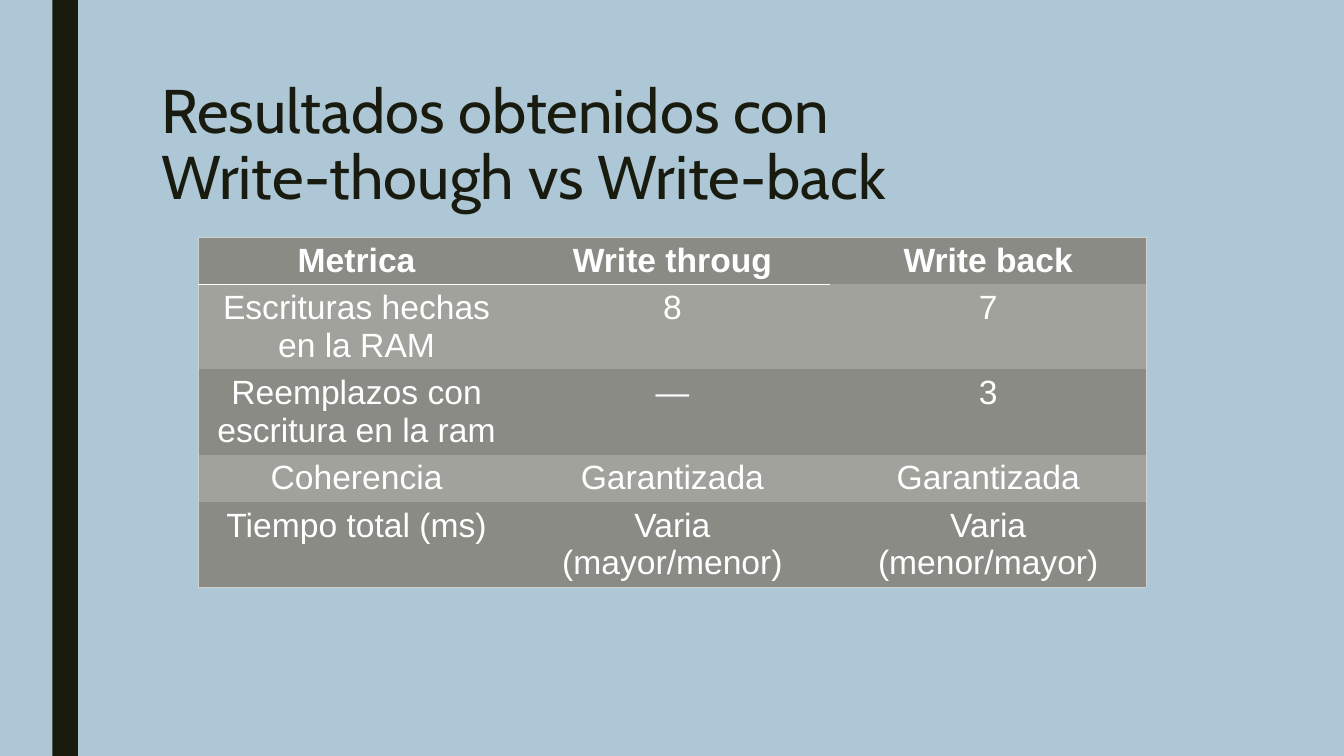
from dataclasses import dataclass

from lxml.etree import SubElement
from pptx import Presentation
from pptx.dml.color import RGBColor
from pptx.enum.shapes import MSO_SHAPE
from pptx.enum.text import MSO_ANCHOR, MSO_AUTO_SIZE, PP_ALIGN
from pptx.oxml.ns import qn
from pptx.slide import Slide
from pptx.table import _Cell
from pptx.text.text import _Paragraph
from pptx.util import Inches, Pt

SLIDE_WIDTH, SLIDE_HEIGHT = Inches(13.33), Inches(7.5)
PLAIN_TABLE_STYLE = "{2D5ABB26-0587-4C30-8999-92F81FD0307C}"


@dataclass(frozen=True)
class Theme:
    background: str = "ADC7D6"
    ink: str = "191B0E"
    header: str = "8A8B84"
    band: str = "A1A29B"
    light: str = "FFFFFF"
    outline: str = "D0D0CE"
    title_font: str = "Cabin"
    table_font: str = "Arial"
    title_size: int = 44
    table_size: int = 24


@dataclass(frozen=True)
class Area:
    """Shares of the slide's width and height."""

    left: float
    top: float
    width: float
    height: float

    def box(self) -> tuple[int, int, int, int]:
        return (int(self.left * SLIDE_WIDTH), int(self.top * SLIDE_HEIGHT),
                int(self.width * SLIDE_WIDTH), int(self.height * SLIDE_HEIGHT))


@dataclass(frozen=True)
class MetricRow:
    texts: tuple[str, str, str]
    lines: int


@dataclass(frozen=True)
class Border:
    side: str
    color: str
    points: float


THEME = Theme()
STRIPE = Area(0.039, 0, 0.019, 1)
TITLE = Area(0.1125, 0.1, 0.7875, 0.216)
TABLE = Area(0.1478, 0.3133, 0.705, 0.4613)
ROWS = (
    MetricRow(("Metrica", "Write throug", "Write back"), 1),
    MetricRow(("Escrituras hechas en la RAM", "8", "7"), 2),
    MetricRow(("Reemplazos con escritura en la ram", "—", "3"), 2),
    MetricRow(("Coherencia", "Garantizada", "Garantizada"), 1),
    MetricRow(("Tiempo total (ms)", "Varia (mayor/menor)", "Varia (menor/mayor)"), 2),
)


def format_runs(paragraph: _Paragraph, font: str, size: int, color: str, bold: bool = False) -> None:
    for run in paragraph.runs:
        run.font.name = font
        run.font.size = Pt(size)
        run.font.bold = bold
        run.font.color.rgb = RGBColor.from_string(color)


def add_stripe(slide: Slide) -> None:
    stripe = slide.shapes.add_shape(MSO_SHAPE.RECTANGLE, *STRIPE.box())
    stripe.shadow.inherit = False
    stripe.fill.solid()
    stripe.fill.fore_color.rgb = RGBColor.from_string(THEME.ink)
    stripe.line.fill.background()


def set_title(slide: Slide) -> None:
    title = slide.shapes.title
    title.left, title.top, title.width, title.height = TITLE.box()
    text_frame = title.text_frame
    text_frame.text = "Resultados obtenidos con \vWrite-though vs Write-back"
    text_frame.word_wrap = True
    text_frame.auto_size = MSO_AUTO_SIZE.NONE
    text_frame.vertical_anchor = MSO_ANCHOR.TOP
    paragraph = text_frame.paragraphs[0]
    paragraph.alignment = PP_ALIGN.LEFT
    paragraph.line_spacing = 0.89
    format_runs(paragraph, THEME.title_font, THEME.title_size, THEME.ink)


def cell_borders(row: int, column: int) -> list[Border]:
    """Give the outer frame and the rule under the header, in schema order."""
    last_row, last_column = len(ROWS) - 1, len(ROWS[0].texts) - 1
    frame = {"L": column == 0, "R": column == last_column, "T": row == 0, "B": row == last_row}
    borders = [Border(side, THEME.outline, 0.5) for side, shown in frame.items() if shown]
    if row == 0 and column < last_column:
        borders.append(Border("B", THEME.light, 1.5))
    return borders


def draw_borders(cell: _Cell, borders: list[Border]) -> None:
    properties = cell._tc.get_or_add_tcPr()
    for border in borders:
        line = SubElement(properties, qn(f"a:ln{border.side}"), w=str(int(Pt(border.points))))
        fill = SubElement(line, qn("a:solidFill"))
        SubElement(fill, qn("a:srgbClr"), val=border.color)


def add_metrics(slide: Slide) -> None:
    table = slide.shapes.add_table(len(ROWS), len(ROWS[0].texts), *TABLE.box()).table
    table._tbl.tblPr.find(qn("a:tableStyleId")).text = PLAIN_TABLE_STYLE
    total_lines = sum(metric.lines for metric in ROWS)
    padding = Inches(0.1)
    line_height = (TABLE.box()[3] - padding * len(ROWS)) // total_lines
    for row, metric in enumerate(ROWS):
        table.rows[row].height = padding + line_height * metric.lines
        for column, text in enumerate(metric.texts):
            cell = table.cell(row, column)
            draw_borders(cell, cell_borders(row, column))
            cell.fill.solid()
            cell.fill.fore_color.rgb = RGBColor.from_string(THEME.band if row % 2 else THEME.header)
            paragraph = cell.text_frame.paragraphs[0]
            paragraph.text = text
            paragraph.alignment = PP_ALIGN.CENTER
            format_runs(paragraph, THEME.table_font, THEME.table_size, THEME.light, row == 0)


def main() -> None:
    presentation = Presentation()
    presentation.slide_width, presentation.slide_height = SLIDE_WIDTH, SLIDE_HEIGHT
    slide = presentation.slides.add_slide(presentation.slide_layouts[5])
    slide.background.fill.solid()
    slide.background.fill.fore_color.rgb = RGBColor.from_string(THEME.background)
    add_stripe(slide)
    set_title(slide)
    add_metrics(slide)
    presentation.save("out.pptx")


if __name__ == "__main__":
    main()
